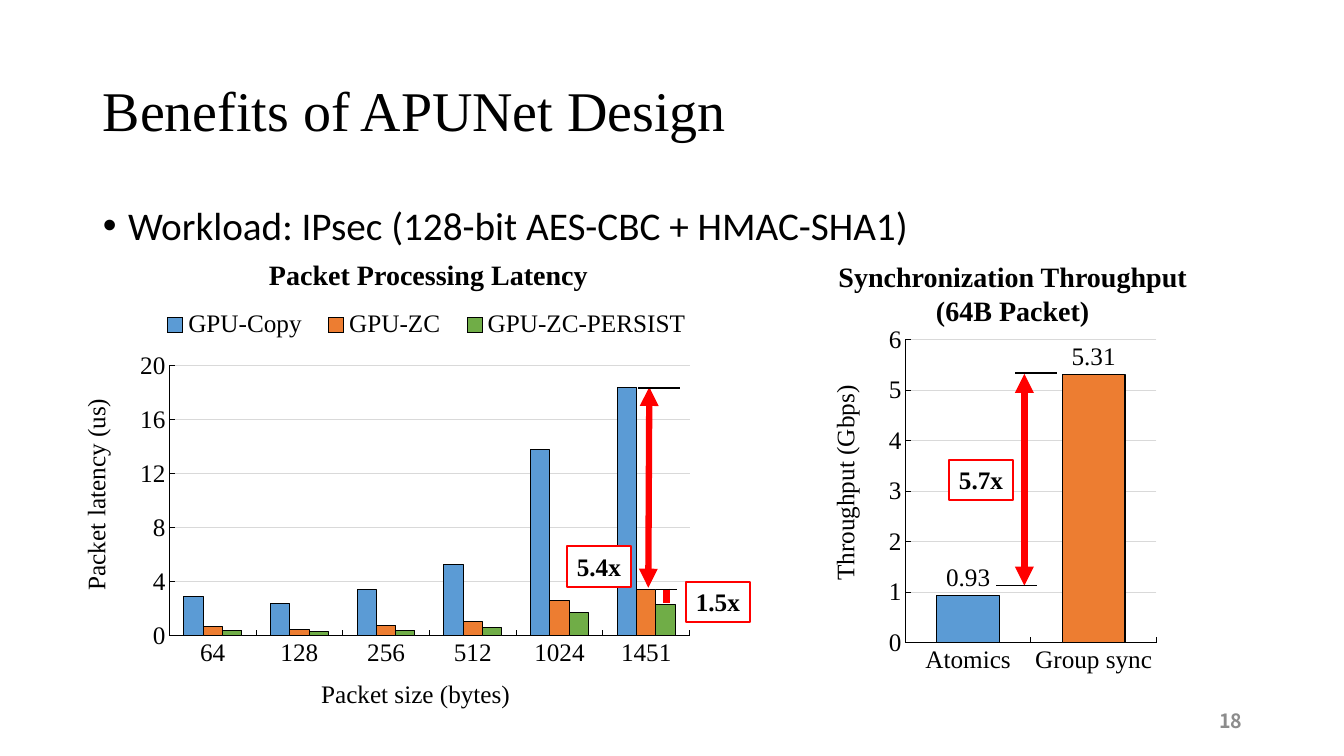
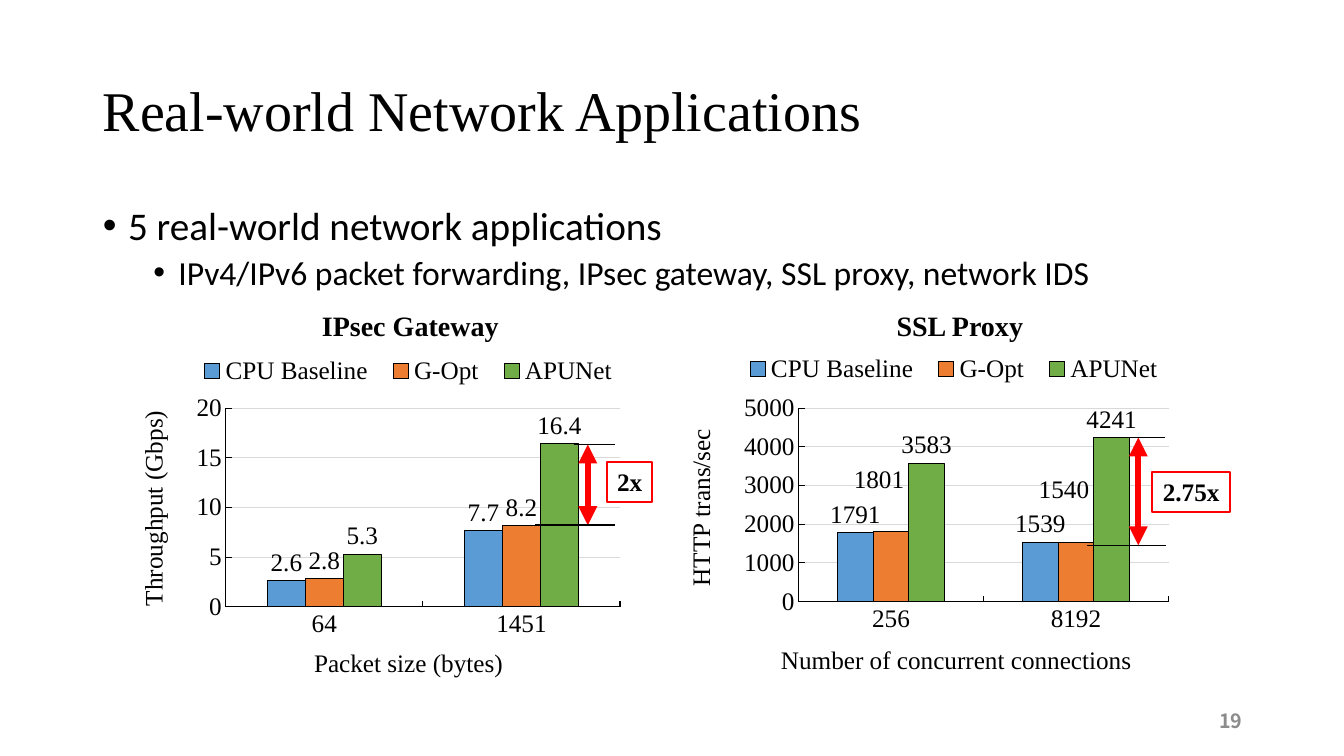
"""Two slides of benchmark charts with speed-up callouts."""
from lxml import etree
from pptx import Presentation
from pptx.chart.data import CategoryChartData
from pptx.dml.color import RGBColor
from pptx.enum.chart import XL_CHART_TYPE, XL_LABEL_POSITION, XL_LEGEND_POSITION, XL_TICK_MARK
from pptx.enum.shapes import MSO_CONNECTOR, MSO_SHAPE
from pptx.enum.text import MSO_ANCHOR, MSO_AUTO_SIZE, PP_ALIGN
from pptx.oxml.ns import qn
from pptx.util import Pt

PX = 9144
BLACK = RGBColor(0x00, 0x00, 0x00)
WHITE = RGBColor(0xFF, 0xFF, 0xFF)
RED = RGBColor(0xFF, 0x00, 0x00)
GRAY = RGBColor(0x8C, 0x8C, 0x8C)
GRID = RGBColor(0xD9, 0xD9, 0xD9)
BLUE = RGBColor(0x5B, 0x9B, 0xD5)
ORANGE = RGBColor(0xED, 0x7D, 0x31)
GREEN = RGBColor(0x70, 0xAD, 0x47)
PALETTE = [BLUE, ORANGE, GREEN]
SERIF, SANS, NUMBER_FONT = "Times New Roman", "Calibri", "Noto Sans CJK KR"
COLUMN = XL_CHART_TYPE.COLUMN_CLUSTERED
OUTSIDE_END = XL_LABEL_POSITION.OUTSIDE_END
TOP = XL_LEGEND_POSITION.TOP
INSIDE = XL_TICK_MARK.INSIDE
STRAIGHT = MSO_CONNECTOR.STRAIGHT
RECT = MSO_SHAPE.RECTANGLE
MIDDLE = MSO_ANCHOR.MIDDLE
NO_FIT = MSO_AUTO_SIZE.NONE
LEFT, CENTER, RIGHT = PP_ALIGN.LEFT, PP_ALIGN.CENTER, PP_ALIGN.RIGHT

TITLE_BOX = (92, 40, 1150, 145)
BODY_BOX = (92, 200, 1180, 476)
NUMBER_BOX = (942, 695, 300, 40)
BULLET_LEVELS = [(28, 25, 10), (24, 75, 5)]
TAG_HEIGHT = 40

SLIDES = [
    {
        "title": "Benefits of APUNet Design",
        "number": "18",
        "bullets": [(0, "Workload: IPsec (128-bit AES-CBC + HMAC-SHA1)")],
        "charts": [
            {
                "box": (75, 295, 623, 430), "plot": (168, 363, 516, 268), "gap": 150,
                "heading": ("Packet Processing Latency", (167, 251, 516, 44)),
                "cats": ["64", "128", "256", "512", "1024", "1451"],
                "series": [
                    ("GPU-Copy", [2.9, 2.4, 3.4, 5.3, 13.8, 18.4]),
                    ("GPU-ZC", [0.7, 0.5, 0.8, 1.1, 2.6, 3.4]),
                    ("GPU-ZC-PERSIST", [0.4, 0.3, 0.4, 0.6, 1.7, 2.3]),
                ],
                "scale": (20, 4), "legend": (148, 304, 550, 36),
                "x_title": ("Packet size (bytes)", (314, 669)),
                "y_title": ("Packet latency (us)", (75, 391)),
            },
            {
                "box": (815, 316, 339, 360), "plot": (898, 337, 249, 301), "gap": 100,
                "heading": ("Synchronization Throughput\n(64B Packet)", (816, 253, 377, 77)),
                "cats": ["Atomics", "Group sync"],
                "series": [("Series 1", [0.93, 5.31])],
                "point_colors": [BLUE, ORANGE], "labels": True,
                "scale": (6, 1),
                "y_title": ("Throughput (Gbps)", (818, 378)),
            },
        ],
        "arrows": [(644, 384, 643, 583), (1016, 371, 1016, 581)],
        "stubs": [(661, 584, 661, 598)],
        "marks": [(633, 674, 385), (651, 671, 585), (988, 1029, 581), (1007, 1048, 370)],
        "tags": [("5.4x", 562, 542, 64), ("1.5x", 680, 577, 64), ("5.7x", 941, 456, 64)],
    },
    {
        "title": "Real-world Network Applications",
        "number": "19",
        "bullets": [
            (0, "5 real-world network applications"),
            (1, "IPv4/IPv6 packet forwarding, IPsec gateway, SSL proxy, network IDS"),
        ],
        "charts": [
            {
                "box": (125, 340, 500, 354), "plot": (224, 405, 391, 197), "gap": 219,
                "heading": ("IPsec Gateway", (208, 301, 398, 44)),
                "cats": ["64", "1451"],
                "series": [
                    ("CPU Baseline", [2.6, 7.7]),
                    ("G-Opt", [2.8, 8.2]),
                    ("APUNet", [5.3, 16.4]),
                ],
                "labels": True, "scale": (20, 5), "legend": (186, 350, 438, 36),
                "x_title": ("Packet size (bytes)", (307, 638)),
                "y_title": ("Throughput (Gbps)", (132, 403)),
            },
            {
                "box": (669, 340, 500, 354), "plot": (792, 405, 367, 192), "gap": 219,
                "heading": ("SSL Proxy", (757, 301, 390, 44)),
                "cats": ["256", "8192"],
                "series": [
                    ("CPU Baseline", [1791, 1539]),
                    ("G-Opt", [1801, 1540]),
                    ("APUNet", [3583, 4241]),
                ],
                "labels": True, "scale": (5000, 1000), "legend": (727, 348, 438, 36),
                "moved_labels": (1, (-12, -34)),
                "x_title": ("Number of concurrent connections", (770, 635)),
                "y_title": ("HTTP trans/sec", (675, 421)),
            },
        ],
        "arrows": [(583, 441, 583, 521), (1129, 434, 1129, 541)],
        "stubs": [],
        "marks": [(569, 610, 441), (531, 610, 521), (1114, 1155, 434), (1078, 1156, 541)],
        "tags": [("2x", 602, 458, 45), ("2.75x", 1143, 468, 77)],
    },
]


def emu(*lengths):
    return [n * PX for n in lengths]


def style(font, size, name=SERIF, color=BLACK, bold=False):
    font.size, font.name, font.bold = Pt(size), name, bold
    font.color.rgb = color


def write(tf, text, size, align, **kw):
    tf.text = text
    for p in tf.paragraphs:
        p.alignment = align
        for r in p.runs:
            style(r.font, size, **kw)


def add_text(s, text, box, size, align, **kw):
    tf = s.shapes.add_textbox(*emu(*box)).text_frame
    tf.word_wrap = True
    write(tf, text, size, align, bold=True, **kw)
    return tf


def place(sp, box):
    sp.left, sp.top, sp.width, sp.height = emu(*box)


def add_bullets(sp, bullets):
    place(sp, BODY_BOX)
    tf = sp.text_frame
    tf.auto_size = NO_FIT
    tf.text = "\n".join(text for _, text in bullets)
    for p, (level, _) in zip(tf.paragraphs, bullets):
        size, indent, before = BULLET_LEVELS[level]
        p.level, p.line_spacing, p.space_before = level, 0.9, Pt(before)
        style(p.runs[0].font, size, SANS)
        pPr = p._p.get_or_add_pPr()
        pPr.set("marL", str(indent * PX))
        pPr.set("indent", str(-25 * PX))
        etree.SubElement(pPr, qn("a:buChar")).set("char", "•")


def set_layout(parent, index, values, inner=False):
    for old in parent.findall(qn("c:layout")):
        parent.remove(old)
    layout = etree.Element(qn("c:layout"))
    parent.insert(index, layout)
    manual = etree.SubElement(layout, qn("c:manualLayout"))
    items = list(zip("xywh", values))
    if inner:
        etree.SubElement(manual, qn("c:layoutTarget")).set("val", "inner")
    if parent.tag != qn("c:dLbl"):
        for key, _ in items[:2]:
            etree.SubElement(manual, qn(f"c:{key}Mode")).set("val", "edge")
    for key, value in items:
        etree.SubElement(manual, qn(f"c:{key}")).set("val", f"{value:.4f}")


def format_axis(axis):
    style(axis.tick_labels.font, 18)
    axis.major_tick_mark = INSIDE
    axis.format.line.color.rgb = BLACK
    axis.format.line.width = Pt(0.75)


def color_bar(fmt, color):
    fmt.fill.solid()
    fmt.fill.fore_color.rgb = color
    fmt.line.color.rgb = BLACK
    fmt.line.width = Pt(0.75)


def add_chart(s, spec):
    data = CategoryChartData()
    data.categories = spec["cats"]
    for name, values in spec["series"]:
        data.add_series(name, values)
    left, top, width, height = spec["box"]
    chart = s.shapes.add_chart(COLUMN, *emu(*spec["box"]), data).chart
    chart.has_title = False
    style(chart.font, 18)

    def fraction(x, y, *size):
        ends = [(x - left) / width, (y - top) / height]
        return ends + [n / full for n, full in zip(size, (width, height))]

    plot = chart.plots[0]
    plot.gap_width, plot.overlap, plot.vary_by_categories = spec["gap"], 0, False
    set_layout(chart.element.xpath(".//c:plotArea")[0], 0, fraction(*spec["plot"]), inner=True)

    for series, color in zip(plot.series, PALETTE):
        color_bar(series.format, color)
        if spec.get("labels"):
            labels = series.data_labels
            labels.show_value, labels.position = True, OUTSIDE_END
            style(labels.font, 18)
    for i, color in enumerate(spec.get("point_colors", [])):
        color_bar(plot.series[0].points[i].format, color)
    if "moved_labels" in spec:
        index, (dx, dy) = spec["moved_labels"]
        for i in range(len(spec["cats"])):
            label = plot.series[index].points[i].data_label
            label.position = OUTSIDE_END
            style(label.font, 18)
        for label in chart.element.xpath(".//c:dLbl"):
            set_layout(label, 1, (dx / width, dy / height))
    for leader in chart.element.xpath(".//c:showLeaderLines"):
        leader.set("val", "0")

    value_axis = chart.value_axis
    value_axis.minimum_scale = 0
    value_axis.maximum_scale, value_axis.major_unit = spec["scale"]
    grid = value_axis.major_gridlines.format.line
    grid.color.rgb, grid.width = GRID, Pt(0.75)
    for axis, key, tag in ((chart.category_axis, "x_title", "catAx"), (value_axis, "y_title", "valAx")):
        format_axis(axis)
        if key in spec:
            text, corner = spec[key]
            write(axis.axis_title.text_frame, text, 18, CENTER)
            title = chart.element.xpath(f".//c:{tag}/c:title")[0]
            set_layout(title, 1, fraction(*corner))
            if key == "y_title":
                title.xpath(".//a:bodyPr")[0].set("rot", "-5400000")

    chart.has_legend = "legend" in spec
    if chart.has_legend:
        chart.legend.position, chart.legend.include_in_layout = TOP, False
        style(chart.legend.font, 18)
        set_layout(chart.element.xpath(".//c:legend")[0], 1, fraction(*spec["legend"]))


def add_line(s, ends, color, width, arrows=False):
    line = s.shapes.add_connector(STRAIGHT, *emu(*ends))
    line.line.color.rgb, line.line.width = color, Pt(width)
    spPr = line._element.spPr
    if arrows:
        for end in ("a:headEnd", "a:tailEnd"):
            etree.SubElement(spPr.find(qn("a:ln")), qn(end)).set("type", "triangle")
    etree.SubElement(spPr, qn("a:effectLst"))


def add_tag(s, text, x, y, width):
    sp = s.shapes.add_shape(RECT, *emu(x, y, width, TAG_HEIGHT))
    sp.shadow.inherit = False
    sp.fill.solid()
    sp.fill.fore_color.rgb = WHITE
    sp.line.color.rgb, sp.line.width = RED, Pt(1.5)
    sp.text_frame.word_wrap = False
    write(sp.text_frame, text, 18, CENTER, bold=True)


def add_slide(prs, spec):
    s = prs.slides.add_slide(prs.slide_layouts[1])
    title, body = s.placeholders
    place(title, TITLE_BOX)
    title.text_frame.vertical_anchor = MIDDLE
    write(title.text_frame, spec["title"], 40, LEFT)
    title.text_frame.paragraphs[0].line_spacing = 0.9
    add_bullets(body, spec["bullets"])
    number = add_text(s, spec["number"], NUMBER_BOX, 14, RIGHT, name=NUMBER_FONT, color=GRAY)
    number.vertical_anchor = MIDDLE
    for chart in spec["charts"]:
        add_chart(s, chart)
        text, box = chart["heading"]
        add_text(s, text, box, 20, CENTER)
    for ends in spec["arrows"]:
        add_line(s, ends, RED, 4.5, arrows=True)
    for ends in spec["stubs"]:
        add_line(s, ends, RED, 4.5)
    for x1, x2, y in spec["marks"]:
        add_line(s, (x1, y, x2, y), BLACK, 1)
    for tag in spec["tags"]:
        add_tag(s, *tag)


def main():
    prs = Presentation()
    prs.slide_width, prs.slide_height = emu(1333, 750)
    for spec in SLIDES:
        add_slide(prs, spec)
    prs.save("out.pptx")


if __name__ == "__main__":
    main()
